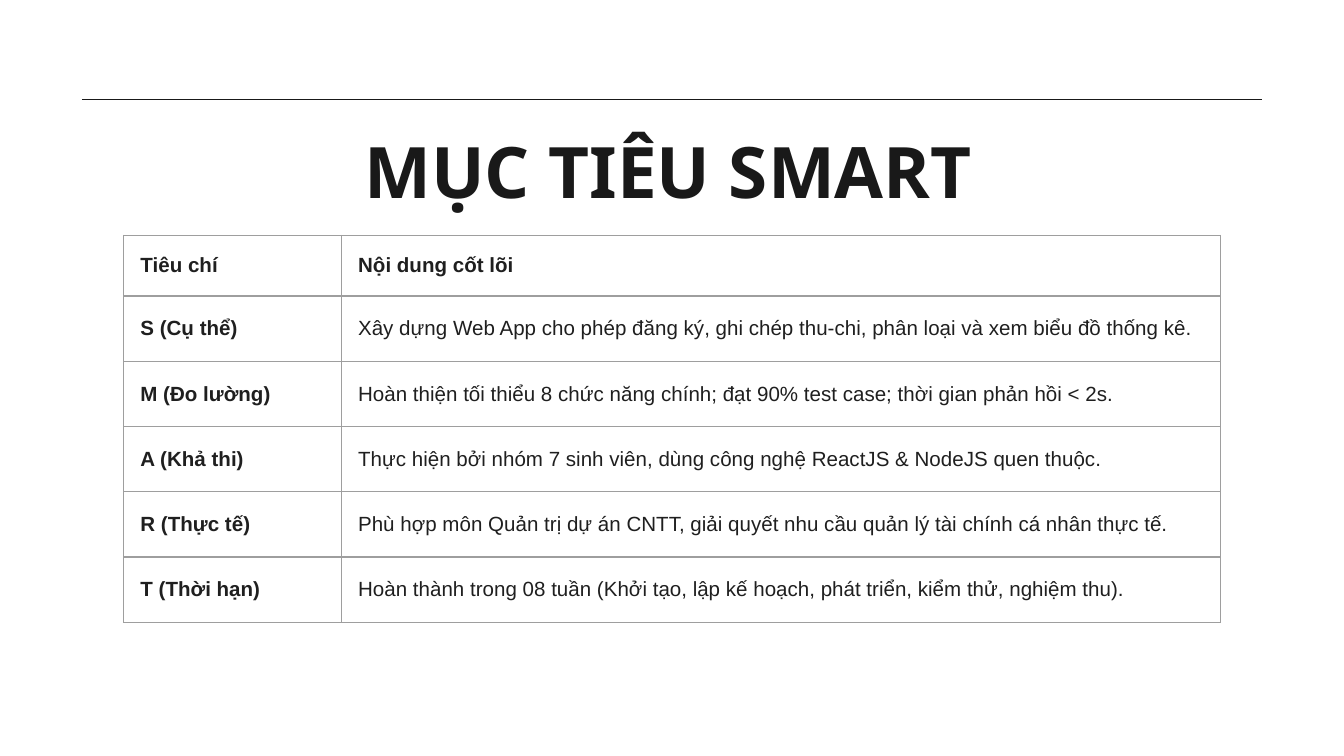
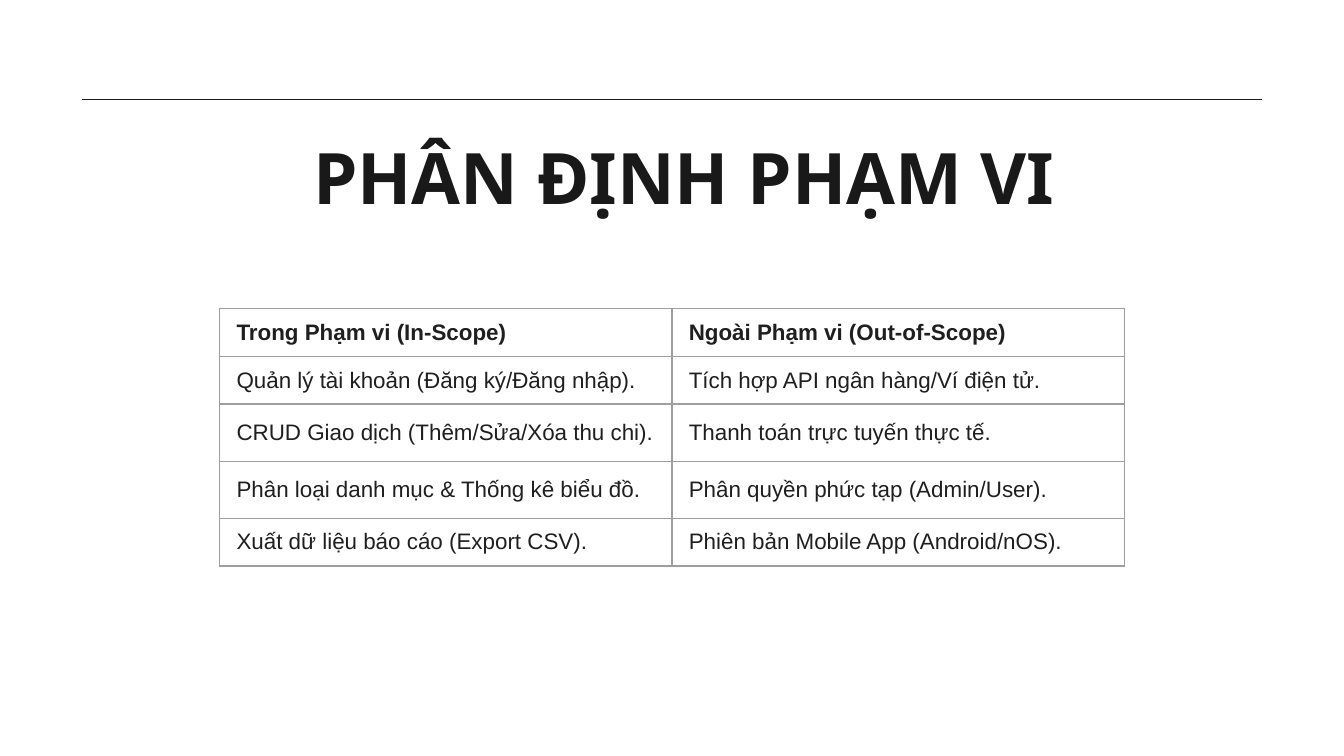
from lxml.etree import SubElement
from pptx import Presentation
from pptx.dml.color import RGBColor
from pptx.enum.shapes import MSO_CONNECTOR
from pptx.enum.text import MSO_ANCHOR, MSO_AUTO_SIZE, PP_ALIGN
from pptx.oxml.ns import qn
from pptx.util import Inches, Pt

WIDTH = 10
HEIGHT = WIDTH * 9 / 16
INK, TABLE_INK, GRID = "191919", "1F1F1F", "9E9E9E"
TITLE_FONT, TABLE_FONT = "Noto Sans", "Arial"
TITLE_ONLY = 5

GOALS = [
    ("Tiêu chí", "Nội dung cốt lõi"),
    ("S (Cụ thể)", "Xây dựng Web App cho phép đăng ký, ghi chép thu-chi, "
                   "phân loại và xem biểu đồ thống kê."),
    ("M (Đo lường)", "Hoàn thiện tối thiểu 8 chức năng chính; đạt 90% test case; "
                     "thời gian phản hồi < 2s."),
    ("A (Khả thi)", "Thực hiện bởi nhóm 7 sinh viên, dùng công nghệ "
                    "ReactJS & NodeJS quen thuộc."),
    ("R (Thực tế)", "Phù hợp môn Quản trị dự án CNTT, giải quyết nhu cầu "
                    "quản lý tài chính cá nhân thực tế."),
    ("T (Thời hạn)", "Hoàn thành trong 08 tuần (Khởi tạo, lập kế hoạch, "
                     "phát triển, kiểm thử, nghiệm thu)."),
]
SCOPE = [
    ("Trong Phạm vi (In-Scope)", "Ngoài Phạm vi (Out-of-Scope)"),
    ("Quản lý tài khoản (Đăng ký/Đăng nhập).", "Tích hợp API ngân hàng/Ví điện tử."),
    ("CRUD Giao dịch (Thêm/Sửa/Xóa thu chi).", "Thanh toán trực tuyến thực tế."),
    ("Phân loại danh mục & Thống kê biểu đồ.", "Phân quyền phức tạp (Admin/User)."),
    ("Xuất dữ liệu báo cáo (Export CSV).", "Phiên bản Mobile App (Android/nOS)."),
]


def across(percent):
    """Share of the slide's width."""
    return Inches(WIDTH * percent / 100)


def down(percent):
    """Share of the slide's height."""
    return Inches(HEIGHT * percent / 100)


def color(hex_value):
    return RGBColor.from_string(hex_value)


def write(tf, text, *, font, size, ink, bold=False):
    p = tf.paragraphs[0]
    p.alignment = PP_ALIGN.LEFT
    r = p.add_run()
    r.text = text
    r.font.name, r.font.size, r.font.bold = font, Pt(size), bold
    r.font.color.rgb = color(ink)


def add_rule(s):
    y = down(13.2)
    line = s.shapes.add_connector(MSO_CONNECTOR.STRAIGHT, across(6.1), y, across(93.9), y)
    line.line.color.rgb = color(INK)
    line.line.width = Pt(0.75)
    SubElement(line._element.spPr, qn("a:effectLst"))


def set_title(s, text, left, top):
    sp = s.shapes.title
    sp.left, sp.top = across(left), down(top)
    sp.width, sp.height = across(84.3), down(11.2)
    tf = sp.text_frame
    tf.auto_size = MSO_AUTO_SIZE.NONE
    tf.word_wrap = True
    tf.vertical_anchor = MSO_ANCHOR.TOP
    tf.margin_left = tf.margin_right = tf.margin_top = tf.margin_bottom = Inches(0.1)
    write(tf, text, font=TITLE_FONT, size=38, ink=INK, bold=True)


def add_borders(cell):
    tc_pr = cell._tc.get_or_add_tcPr()
    for i, side in enumerate(("a:lnL", "a:lnR", "a:lnT", "a:lnB")):
        ln = tc_pr.makeelement(qn(side), {"w": str(Pt(0.75))})
        fill = SubElement(ln, qn("a:solidFill"))
        SubElement(fill, qn("a:srgbClr"), val=GRID)
        tc_pr.insert(i, ln)


def add_grid(s, data, left, top, cols, rows, size, bold_first_col=False):
    """Bordered table; cols and rows are shares of the slide."""
    frame = s.shapes.add_table(len(rows), len(cols), across(left), down(top),
                               across(sum(cols)), down(sum(rows)))
    table = frame.table
    table.first_row = table.horz_banding = False
    for column, share in zip(table.columns, cols):
        column.width = across(share)
    for i, (row, share) in enumerate(zip(table.rows, rows)):
        row.height = down(share)
        for j, cell in enumerate(row.cells):
            cell.fill.background()
            cell.vertical_anchor = MSO_ANCHOR.MIDDLE
            cell.margin_left = cell.margin_right = Pt(9)
            cell.margin_top = cell.margin_bottom = Pt(6)
            write(cell.text_frame, data[i][j], font=TABLE_FONT, size=size, ink=TABLE_INK,
                  bold=i == 0 or (bold_first_col and j == 0))
            add_borders(cell)


def add_page(prs, title, left, top):
    s = prs.slides.add_slide(prs.slide_layouts[TITLE_ONLY])
    s.background.fill.solid()
    s.background.fill.fore_color.rgb = color("FFFFFF")
    add_rule(s)
    set_title(s, title, left, top)
    return s


def main():
    prs = Presentation()
    prs.slide_width, prs.slide_height = Inches(WIDTH), Inches(HEIGHT)

    # SMART goals
    s = add_page(prs, "MỤC TIÊU SMART", 26.1, 15.1)
    add_grid(s, GOALS, 9.2, 31.15, cols=[16.2, 65.4], rows=[8] + [8.63] * 5,
             size=11, bold_first_col=True)

    # Scope
    s = add_page(prs, "PHÂN ĐỊNH PHẠM VI", 22.3, 15.85)
    add_grid(s, SCOPE, 16.35, 40.85, cols=[33.65] * 2,
             rows=[6.3, 6.3, 7.56, 7.56, 6.3], size=12)

    prs.save("out.pptx")


if __name__ == "__main__":
    main()
